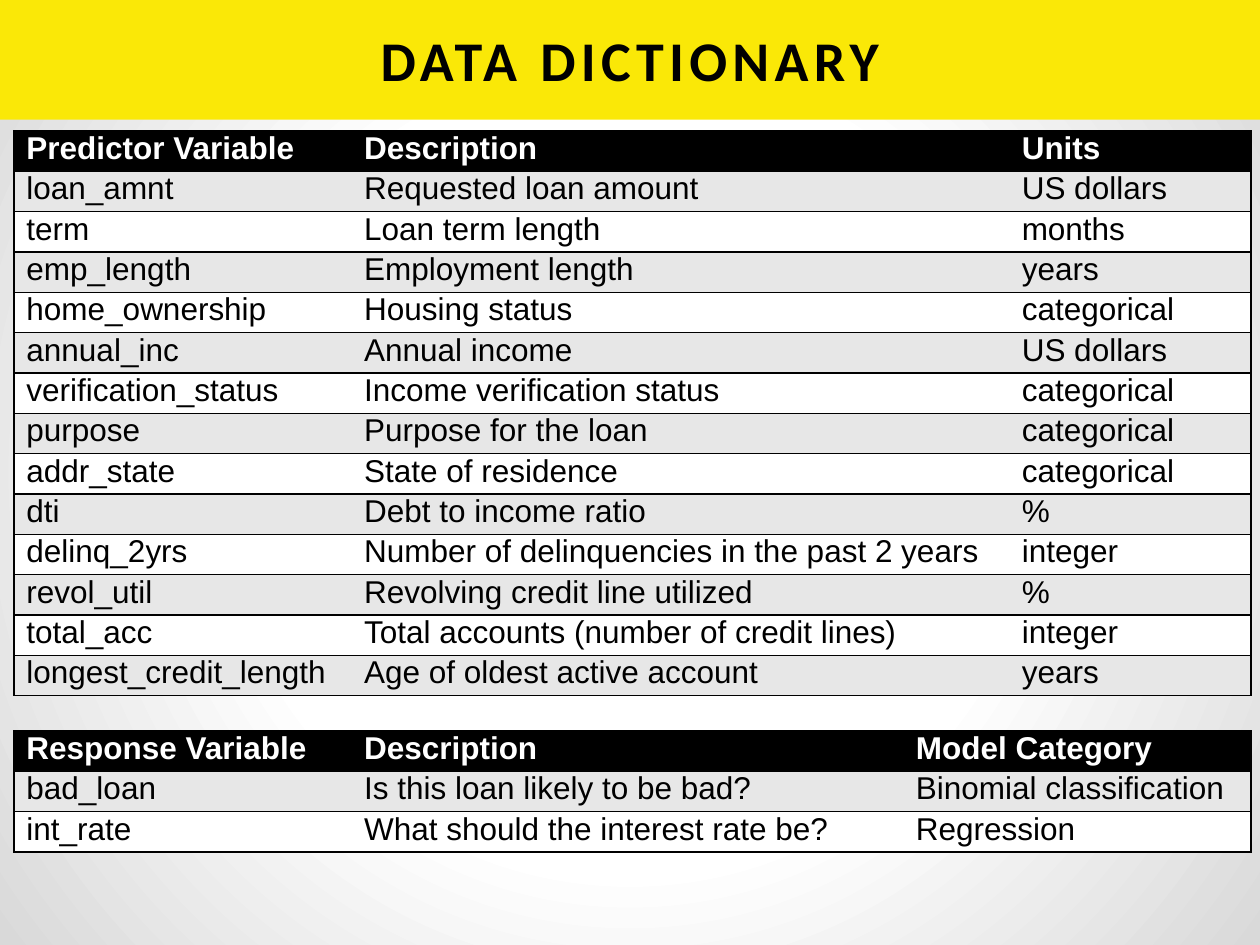
"""Build the data dictionary slide with its predictor and response tables."""
from lxml.etree import SubElement
from pptx import Presentation
from pptx.dml.color import RGBColor
from pptx.enum.shapes import MSO_SHAPE
from pptx.enum.text import MSO_ANCHOR, PP_ALIGN
from pptx.oxml.ns import qn
from pptx.util import Inches, Pt

COLORS = {"banner": "FAE807", "ink": "000000", "paper": "FFFFFF",
          "band": "E7E7E7", "edge": "D9D9D9"}
TITLE = "DATA DICTIONARY"
PREDICTORS = [
    ("Predictor Variable", "Description", "Units"),
    ("loan_amnt", "Requested loan amount", "US dollars"),
    ("term", "Loan term length", "months"),
    ("emp_length", "Employment length", "years"),
    ("home_ownership", "Housing status", "categorical"),
    ("annual_inc", "Annual income", "US dollars"),
    ("verification_status", "Income verification status", "categorical"),
    ("purpose", "Purpose for the loan", "categorical"),
    ("addr_state", "State of residence", "categorical"),
    ("dti", "Debt to income ratio", "%"),
    ("delinq_2yrs", "Number of delinquencies in the past 2 years", "integer"),
    ("revol_util", "Revolving credit line utilized", "%"),
    ("total_acc", "Total accounts (number of credit lines)", "integer"),
    ("longest_credit_length", "Age of oldest active account", "years"),
]
RESPONSES = [
    ("Response Variable", "Description", "Model Category"),
    ("bad_loan", "Is this loan likely to be bad?", "Binomial classification"),
    ("int_rate", "What should the interest rate be?", "Regression"),
]
TABLES = [
    {"rows": PREDICTORS, "top": 1.04, "widths": (2.68, 5.22, 1.92)},
    {"rows": RESPONSES, "top": 5.8, "widths": (2.68, 4.38, 2.76)},
]
TABLE_LEFT, ROW_HEIGHT = 0.11, 0.3


def rgb(name):
    return RGBColor.from_string(COLORS[name])


def write(frame, text, size=18, font="Arial", color="ink", bold=False,
          align=PP_ALIGN.LEFT, spacing=0):
    paragraph = frame.paragraphs[0]
    paragraph.alignment = align
    run = paragraph.add_run()
    run.text = text
    run.font.size, run.font.name, run.font.bold = Pt(size), font, bold
    run.font.color.rgb = rgb(color)
    if spacing:
        run.font._element.set("spc", str(spacing * 100))


def add_color(parent, name):
    return SubElement(parent, qn("a:srgbClr"), val=COLORS[name])


def shade_background(slide):
    fill = slide.background.fill
    fill.gradient()
    gradient = slide._element.find(".//" + qn("a:gradFill"))
    for child in list(gradient):
        gradient.remove(child)
    stops = SubElement(gradient, qn("a:gsLst"))
    add_color(SubElement(stops, qn("a:gs"), pos="50000"), "paper")
    edge = add_color(SubElement(stops, qn("a:gs"), pos="100000"), "edge")
    SubElement(edge, qn("a:alpha"), val="41000")
    circle = SubElement(gradient, qn("a:path"), path="circle")
    SubElement(circle, qn("a:fillToRect"), l="50000", t="50000", r="50000", b="50000")


def set_borders(cell, visible):
    properties = cell._tc.get_or_add_tcPr()
    for side in "LRTB":
        line = SubElement(properties, qn(f"a:ln{side}"), w=str(Pt(1)))
        if side in visible:
            add_color(SubElement(line, qn("a:solidFill")), "ink")
        else:
            SubElement(line, qn("a:noFill"))


def add_dictionary(slide, rows, top, widths):
    table = slide.shapes.add_table(
        len(rows), len(widths), Inches(TABLE_LEFT), Inches(top),
        Inches(sum(widths)), Inches(ROW_HEIGHT * len(rows))).table
    for column, width in zip(table.columns, widths):
        column.width = Inches(width)
    for r, entries in enumerate(rows):
        header = r == 0
        for c, entry in enumerate(entries):
            cell = table.cell(r, c)
            cell.margin_left = cell.margin_right = Inches(0.1)
            cell.margin_top, cell.margin_bottom = 0, Inches(0.02)
            sides = "TB" + "L" * (c == 0) + "R" * (c == len(widths) - 1)
            set_borders(cell, sides)
            cell.fill.solid()
            cell.fill.fore_color.rgb = rgb("ink" if header else "band" if r % 2 else "paper")
            write(cell.text_frame, entry, color="paper" if header else "ink", bold=header)


def main():
    deck = Presentation()
    deck.slide_width, deck.slide_height = Inches(10), Inches(7.5)
    slide = deck.slides.add_slide(deck.slide_layouts[6])
    shade_background(slide)

    banner = slide.shapes.add_shape(MSO_SHAPE.RECTANGLE, 0, 0, Inches(10), Inches(0.95))
    banner.shadow.inherit = False
    banner.fill.solid()
    banner.fill.fore_color.rgb = rgb("banner")
    banner.line.fill.background()

    title = slide.shapes.add_textbox(Inches(0.5), Inches(-0.01), Inches(9), Inches(0.96))
    title.text_frame.word_wrap = True
    title.text_frame.vertical_anchor = MSO_ANCHOR.MIDDLE
    write(title.text_frame, TITLE, size=32, font="Calibri", bold=True,
          align=PP_ALIGN.CENTER, spacing=3)

    for dictionary in TABLES:
        add_dictionary(slide, **dictionary)
    deck.save("out.pptx")


if __name__ == "__main__":
    main()
